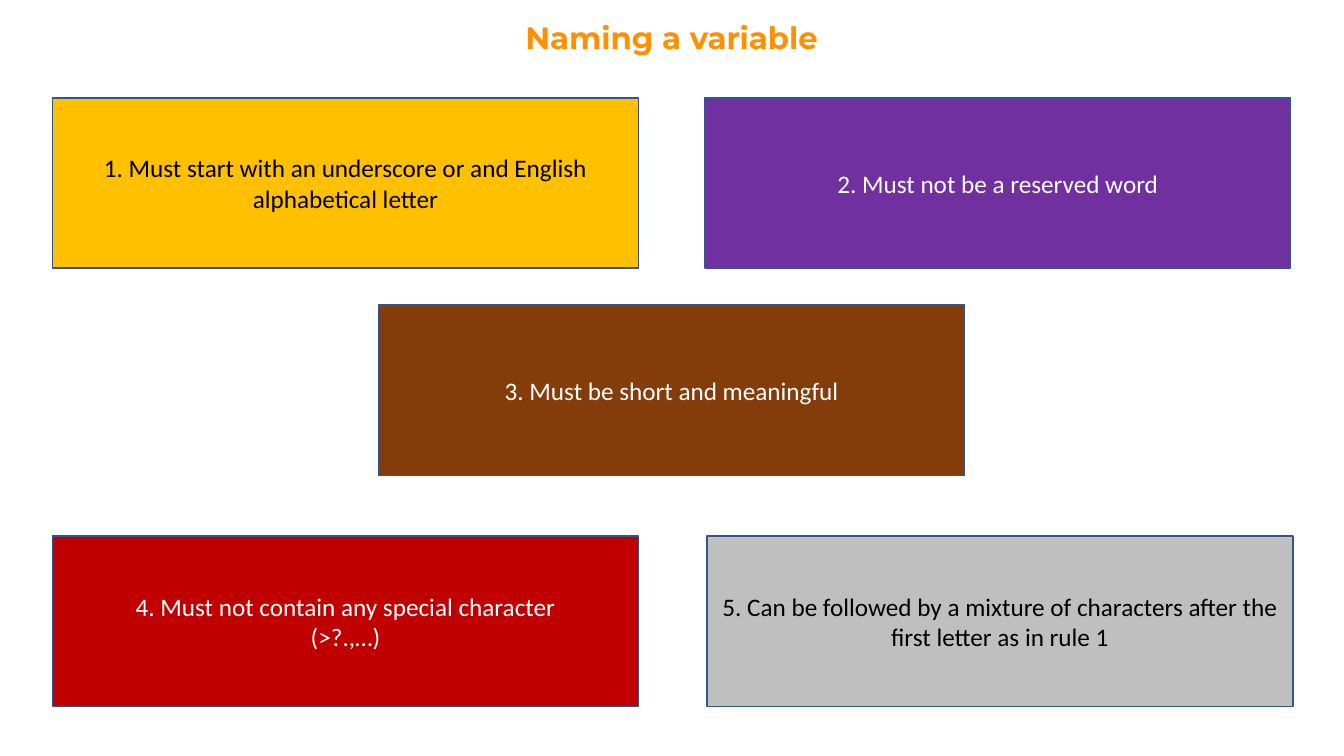
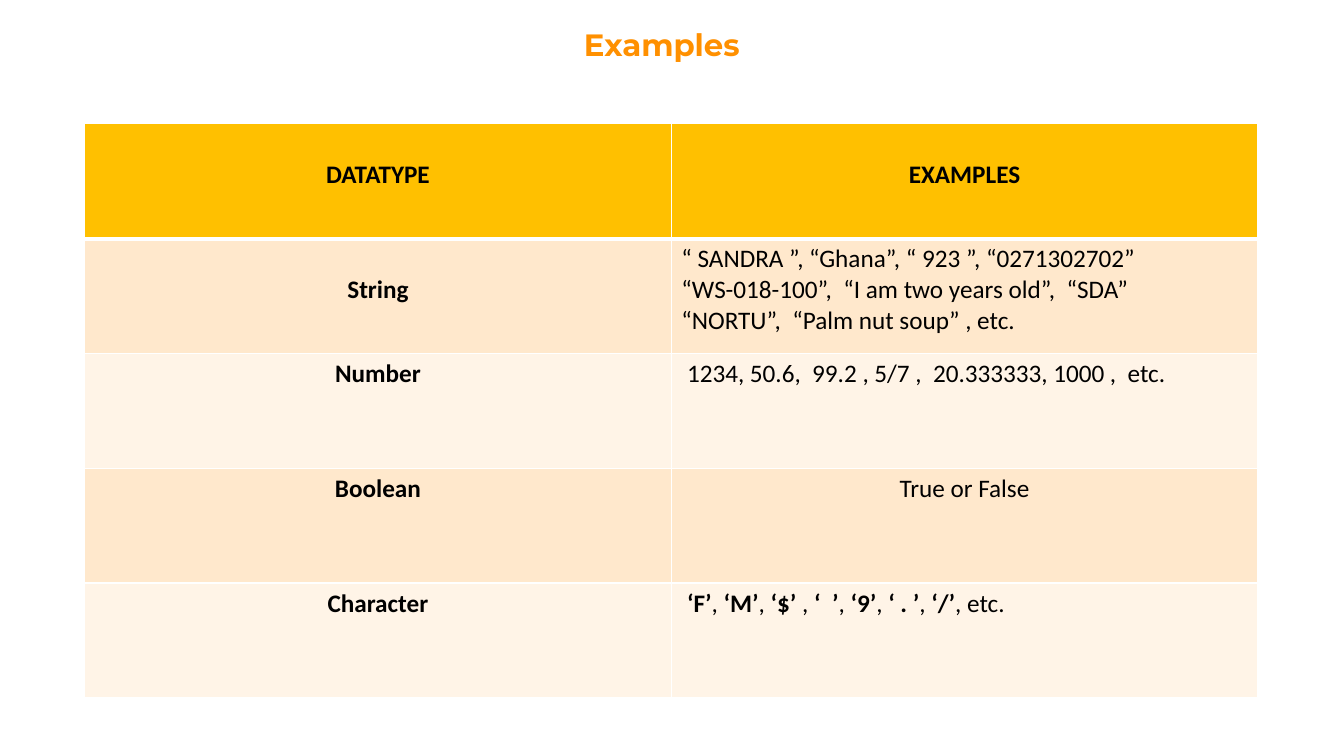
from pptx import Presentation
from pptx.dml.color import RGBColor
from pptx.enum.shapes import MSO_SHAPE
from pptx.enum.text import MSO_ANCHOR, PP_ALIGN
from pptx.oxml.ns import qn
from pptx.util import Pt
from lxml.etree import SubElement

BLACK = RGBColor(0x00, 0x00, 0x00)
WHITE = RGBColor(0xFF, 0xFF, 0xFF)
ORANGE = RGBColor(0xFF, 0x90, 0x00)
GOLD = RGBColor(0xFF, 0xC0, 0x00)
PURPLE = RGBColor(0x70, 0x30, 0xA0)
BROWN = RGBColor(0x84, 0x3C, 0x0B)
RED = RGBColor(0xC0, 0x00, 0x00)
GREY = RGBColor(0xBF, 0xBF, 0xBF)
OUTLINE = RGBColor(0x32, 0x54, 0x91)
BANDS = (RGBColor(0xFF, 0xE8, 0xCC), RGBColor(0xFF, 0xF4, 0xE7))

BODY_FONT, TITLE_FONT = "Calibri", "Montserrat"
BODY_SIZE = 18
LINE_HEIGHT = 22
CELL_MARGIN = 3.6


def write(frame, text, font=BODY_FONT, size=BODY_SIZE, color=BLACK,
          bold=False, align=PP_ALIGN.LEFT):
    """Lines become paragraphs; pieces between bars switch the weight."""
    for index, line in enumerate(text.split("\n")):
        para = frame.paragraphs[0] if index == 0 else frame.add_paragraph()
        para.alignment = align
        for turn, piece in enumerate(line.split("|")):
            span = para.add_run()
            span.text = piece
            span.font.name = font
            span.font.size = Pt(size)
            span.font.color.rgb = color
            span.font.bold = bold != (turn % 2 == 1)


def add_title(page, text, left, top, width):
    box = page.shapes.add_textbox(Pt(left), Pt(top), Pt(width), Pt(34))
    box.text_frame.word_wrap = False
    write(box.text_frame, text, font=TITLE_FONT, size=22, color=ORANGE,
          bold=True, align=PP_ALIGN.CENTER)


def add_rule_box(page, text, left, top, width, height, fill, color):
    box = page.shapes.add_shape(MSO_SHAPE.RECTANGLE, Pt(left), Pt(top),
                                Pt(width), Pt(height))
    box.shadow.inherit = False
    box.fill.solid()
    box.fill.fore_color.rgb = fill
    box.line.color.rgb = OUTLINE
    box.line.width = Pt(1)
    frame = box.text_frame
    frame.word_wrap = True
    frame.vertical_anchor = MSO_ANCHOR.MIDDLE
    write(frame, text, color=color, align=PP_ALIGN.CENTER)


def set_borders(cell, top=1, bottom=1):
    properties = cell._tc.get_or_add_tcPr()
    for side, width in (("L", 1), ("R", 1), ("T", top), ("B", bottom)):
        line = SubElement(properties, qn(f"a:ln{side}"), w=str(Pt(width)))
        fill = SubElement(line, qn("a:solidFill"))
        SubElement(fill, qn("a:srgbClr"), val=str(WHITE))


def add_examples_table(page, rows, left, top, width, height):
    table = page.shapes.add_table(len(rows), 2, Pt(left), Pt(top),
                                  Pt(width), Pt(height)).table
    table.first_row = table.horz_banding = False
    for column in table.columns:
        column.width = Pt(width / 2)
    for row_index, row in enumerate(rows):
        table.rows[row_index].height = Pt(height / len(rows))
        is_header = row_index == 0
        for column_index, (text, align, lowered) in enumerate(row):
            cell = table.cell(row_index, column_index)
            set_borders(cell, top=3 if row_index == 1 else 1,
                        bottom=3 if is_header else 1)
            cell.fill.solid()
            cell.fill.fore_color.rgb = GOLD if is_header else BANDS[(row_index - 1) % 2]
            # Lowered text starts one line further down
            cell.margin_top = Pt(CELL_MARGIN + LINE_HEIGHT * lowered)
            write(cell.text_frame, text, align=align,
                  bold=is_header or column_index == 0)


def build_naming_slide(page):
    add_title(page, "Naming a variable", 366.5, 9.5, 226.5)
    left, right, middle = 37.5, 503.5, 270.5
    upper, centre, lower = 70, 218, 383
    rules = (
        ("1. Must start with an underscore or and English alphabetical letter",
         left, upper, GOLD, BLACK),
        ("2. Must not be a reserved word", right, upper, PURPLE, WHITE),
        ("3. Must be short and meaningful", middle, centre, BROWN, WHITE),
        ("4. Must not contain any special character\n(>?.,…)",
         left, lower, RED, WHITE),
        ("5. Can be followed by a mixture of characters after the first letter"
         " as in rule 1", right + 1.5, lower, GREY, BLACK),
    )
    for text, x, y, fill, color in rules:
        add_rule_box(page, text, x, y, 418.5, 121.5, fill, color)


def build_examples_slide(page):
    add_title(page, "Examples", 409, 15, 127.5)
    mid, start = PP_ALIGN.CENTER, PP_ALIGN.LEFT
    strings = ("“ SANDRA ”, “Ghana”, “ 923 ”, “0271302702”\n"
               "“WS-018-100”,  “I am two years old”,  “SDA”\n"
               "“NORTU”,  “Palm nut soup” , etc.")
    numbers = " 1234, 50.6,  99.2 , 5/7 ,  20.333333, 1000 ,  etc."
    characters = " |‘F’|, |‘M’|, |‘$’ |, |‘  ’|, |‘9’|, |‘ . ’|, |‘/’|, etc."
    rows = (
        (("DATATYPE", mid, True), ("EXAMPLES", mid, True)),
        (("String", mid, True), (strings, start, False)),
        (("Number", mid, False), (numbers, start, False)),
        (("Boolean", mid, False), ("True or False", mid, False)),
        (("Character", mid, False), (characters, start, False)),
    )
    add_examples_table(page, rows, 60.5, 88.5, 838, 410)


deck = Presentation()
deck.slide_width, deck.slide_height = Pt(960), Pt(540)
for build in (build_naming_slide, build_examples_slide):
    build(deck.slides.add_slide(deck.slide_layouts[6]))
deck.save("out.pptx")
